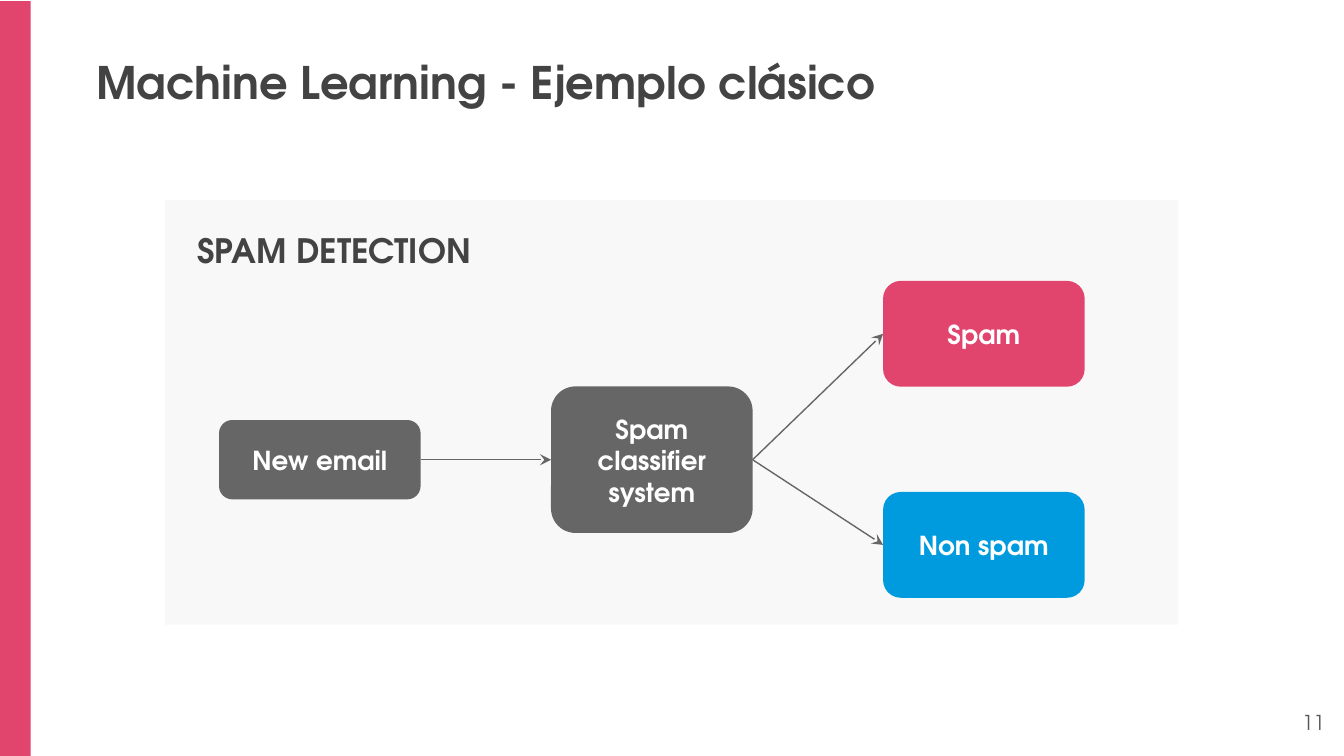
from lxml.etree import SubElement
from pptx import Presentation
from pptx.dml.color import RGBColor
from pptx.enum.shapes import MSO_CONNECTOR, MSO_SHAPE
from pptx.enum.text import MSO_ANCHOR, PP_ALIGN
from pptx.oxml.ns import qn
from pptx.util import Cm, Pt

FONT = "TeX Gyre Adventor"
PINK, BLUE, GRAY = "E1446D", "009BDE", "666666"
DARK, WHITE, PANEL, PAGE_GRAY = "434343", "FFFFFF", "F8F8F8", "595959"
NODE_WIDTH, LABEL_WIDTH = 3.81, 3.23
FIRST_LEFT, COLUMN_STEP = 4.14, 6.275
RIGHT_SIDE, LEFT_SIDE = 3, 1


def color(value):
    """Turn a hex string into a colour."""
    return RGBColor.from_string(value)


def apply_format(target, values):
    """Set every named attribute on the target."""
    for name, value in values.items():
        setattr(target, name, value)


def add_block(slide, kind, left, top, width, height, fill):
    """Add a plain filled shape without outline or shadow."""
    block = slide.shapes.add_shape(kind, Cm(left), Cm(top), Cm(width), Cm(height))
    block.shadow.inherit = False
    block.fill.solid()
    block.fill.fore_color.rgb = color(fill)
    block.line.fill.background()
    return block


def add_text(slide, text, left, top, width, height, size, ink,
             bold=True, align=PP_ALIGN.LEFT, space_after=10):
    """Add a wrapped one-paragraph text box."""
    frame = slide.shapes.add_textbox(
        Cm(left), Cm(top), Cm(width), Cm(height)).text_frame
    inset = Cm(0.25)
    apply_format(frame, {
        "word_wrap": True, "vertical_anchor": MSO_ANCHOR.TOP,
        "margin_left": inset, "margin_right": inset,
        "margin_top": inset, "margin_bottom": inset})
    paragraph = frame.paragraphs[0]
    apply_format(paragraph, {"alignment": align, "space_after": Pt(space_after)})
    run = paragraph.add_run()
    run.text = text
    apply_format(run.font, {"name": FONT, "size": Pt(size), "bold": bold})
    run.font.color.rgb = color(ink)


def add_node(slide, text, column, middle, height, label_height, fill):
    """Add a rounded node and its label, both centred on one point."""
    left = FIRST_LEFT + column * COLUMN_STEP
    node = add_block(slide, MSO_SHAPE.ROUNDED_RECTANGLE, left,
                     middle - height / 2, NODE_WIDTH, height, fill)
    node.adjustments[0] = 0.167
    add_text(slide, text, left + (NODE_WIDTH - LABEL_WIDTH) / 2,
             middle - label_height / 2, LABEL_WIDTH, label_height,
             14, WHITE, align=PP_ALIGN.CENTER)
    return node


def add_arrow(slide, source, target):
    """Join the right side of one node to the left side of another."""
    arrow = slide.shapes.add_connector(MSO_CONNECTOR.STRAIGHT, 0, 0, 0, 0)
    arrow.begin_connect(source, RIGHT_SIDE)
    arrow.end_connect(target, LEFT_SIDE)
    arrow.line.width = Pt(0.75)
    arrow.line.color.rgb = color(GRAY)
    SubElement(arrow.line._get_or_add_ln(), qn("a:tailEnd"), type="stealth")
    SubElement(arrow._element.spPr, qn("a:effectLst"))


def main():
    """Build the spam detection slide."""
    deck = Presentation()
    apply_format(deck, {"slide_width": Cm(25.4), "slide_height": Cm(14.29)})
    slide = deck.slides.add_slide(deck.slide_layouts[6])

    add_block(slide, MSO_SHAPE.RECTANGLE, 0, 0.02, 0.58, 14.27, PINK)
    add_text(slide, "11", 23.77, 13.18, 1.52, 1.09, 11, PAGE_GRAY,
             bold=False, align=PP_ALIGN.RIGHT, space_after=0)
    add_text(slide, "Machine Learning - Ejemplo clásico",
             1.57, 0.79, 21.89, 1.5, 24, DARK)
    add_block(slide, MSO_SHAPE.RECTANGLE, 3.12, 3.78, 19.15, 8.03, PANEL)
    add_text(slide, "SPAM DETECTION", 3.48, 4.09, 6.22, 1.09, 18, DARK)

    email = add_node(slide, "New email", 0, 8.69, 1.5, 1.09, GRAY)
    classifier = add_node(slide, "Spam classifier system", 1, 8.69, 2.77, 2.26, GRAY)
    spam = add_node(slide, "Spam", 2, 6.31, 2, 1.09, PINK)
    non_spam = add_node(slide, "Non spam", 2, 10.3, 2, 1.09, BLUE)
    for source, target in ((email, classifier), (classifier, spam),
                           (classifier, non_spam)):
        add_arrow(slide, source, target)

    deck.save("out.pptx")


if __name__ == "__main__":
    main()
